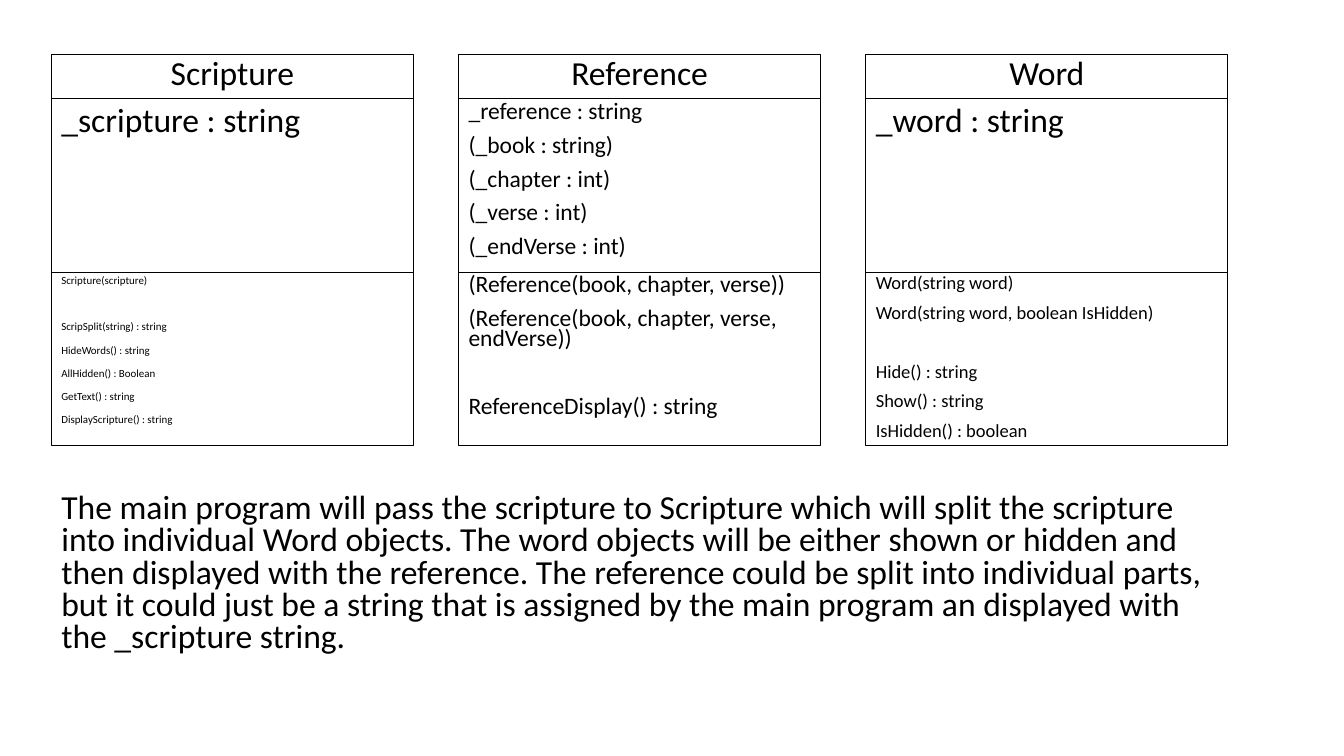
from pptx import Presentation
from pptx.dml.color import RGBColor
from pptx.enum.shapes import MSO_SHAPE
from pptx.enum.text import MSO_ANCHOR, PP_ALIGN
from pptx.util import Pt

RECTANGLE = MSO_SHAPE.RECTANGLE
TOP = MSO_ANCHOR.TOP
LEFT, CENTER = PP_ALIGN.LEFT, PP_ALIGN.CENTER

COLORS = {"ink": "000000"}
FONT = "Calibri"

# Content: each compartment is (lines, font size, line spacing); None is a one-line gap
CLASSES = [
    {"name": "Scripture",
     "fields": (["_scripture : string"], 24, 0.9),
     "methods": (["Scripture(scripture)", None, "ScripSplit(string) : string",
                  "HideWords() : string", "AllHidden() : Boolean",
                  "GetText() : string", "DisplayScripture() : string"], 7.8, 0.7)},
    {"name": "Reference",
     "fields": (["_reference : string", "(_book : string)", "(_chapter : int)",
                 "(_verse : int)", "(_endVerse : int)"], 16.8, 0.7),
     "methods": (["(Reference(book, chapter, verse))",
                  "(Reference(book, chapter, verse, endVerse))", None,
                  "ReferenceDisplay() : string"], 16.8, 0.7)},
    {"name": "Word",
     "fields": (["_word : string"], 24, 0.9),
     "methods": (["Word(string word)", "Word(string word, boolean IsHidden)", None,
                  "Hide() : string", "Show() : string", "IsHidden() : boolean"], 13.2, 0.7)},
]
SUMMARY = (
    "The main program will pass the scripture to Scripture which will split the scripture "
    "into individual Word objects. The word objects will be either shown or hidden and then "
    "displayed with the reference. The reference could be split into individual parts, but it "
    "could just be a string that is assigned by the main program an displayed with the "
    "_scripture string."
)

# Layout in points
MARGIN_LEFT, MARGIN_TOP = 36.7, 38.9
CLASS_WIDTH, CLASS_PITCH = 258.6, 290.9
NAME_HEIGHT, BODY_HEIGHT = 31.7, 123.8
SUMMARY_TOP = 349.2
SUMMARY_WIDTH = 2 * CLASS_PITCH + CLASS_WIDTH
SPACE_BEFORE = 10
LINE_FACTOR = 1.22  # natural line height of the font


def write_lines(shape, lines, size, spacing, alignment=LEFT):
    frame = shape.text_frame
    frame.word_wrap = True
    frame.vertical_anchor = TOP
    frame.text = "\n".join(line for line in lines if line)
    gap = SPACE_BEFORE + size * LINE_FACTOR * spacing
    paragraphs = iter(frame.paragraphs)
    space = SPACE_BEFORE
    for line in lines:
        if line is None:
            space += gap
            continue
        paragraph = next(paragraphs)
        paragraph.alignment = alignment
        paragraph.line_spacing = spacing
        paragraph.space_before = Pt(space)
        space = SPACE_BEFORE
        font = paragraph.runs[0].font
        font.name, font.size = FONT, Pt(size)
        font.color.rgb = RGBColor.from_string(COLORS["ink"])


def add_compartment(slide, left, top, height, *text):
    box = slide.shapes.add_shape(RECTANGLE, Pt(left), Pt(top), Pt(CLASS_WIDTH), Pt(height))
    box.shadow.inherit = False
    box.fill.background()
    box.line.color.rgb = RGBColor.from_string(COLORS["ink"])
    box.line.width = Pt(0.75)
    write_lines(box, *text)


presentation = Presentation()
presentation.slide_width, presentation.slide_height = Pt(960), Pt(540)
slide = presentation.slides.add_slide(presentation.slide_layouts[6])

# Class diagrams: name, fields and methods stacked in each column
for column, entry in enumerate(CLASSES):
    left, top = MARGIN_LEFT + column * CLASS_PITCH, MARGIN_TOP
    add_compartment(slide, left, top, NAME_HEIGHT, [entry["name"]], 24, 0.8, CENTER)
    top += NAME_HEIGHT
    for part in ("fields", "methods"):
        add_compartment(slide, left, top, BODY_HEIGHT, *entry[part])
        top += BODY_HEIGHT

# Summary below the diagrams
summary = slide.shapes.add_textbox(Pt(MARGIN_LEFT), Pt(SUMMARY_TOP),
                                   Pt(SUMMARY_WIDTH), Pt(BODY_HEIGHT))
write_lines(summary, [SUMMARY], 24, 0.8)

presentation.save("out.pptx")
